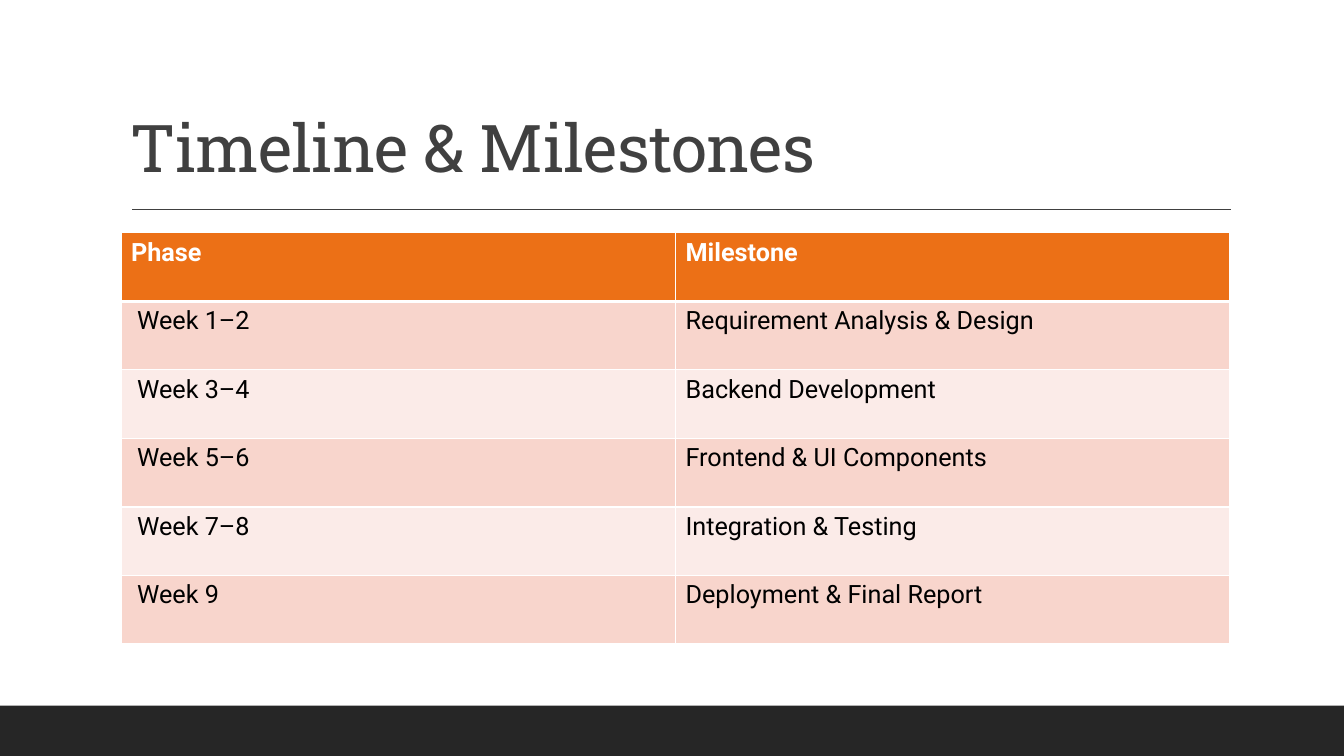
"""Build the Timeline & Milestones slide."""
import dataclasses

import lxml.etree
import pptx
import pptx.dml.color
import pptx.enum.shapes
import pptx.enum.text
import pptx.oxml.ns
import pptx.util

TITLE = "Timeline & Milestones"
HEADER = ("Phase", "Milestone")
MILESTONES = [
    ("Week 1–2", "Requirement Analysis & Design"),
    ("Week 3–4", "Backend Development"),
    ("Week 5–6", "Frontend & UI Components"),
    ("Week 7–8", "Integration & Testing"),
    ("Week 9", "Deployment & Final Report"),
]


@dataclasses.dataclass(frozen=True)
class Theme:
    title_font: str = "Roboto Slab"
    body_font: str = "Roboto"
    title_size: float = 47
    body_size: float = 18
    rule_width: float = 1
    border_width: float = 1
    header_border_width: float = 3
    dark: str = "404040"
    footer: str = "262626"
    accent: str = "EC7016"
    bands: tuple = ("F8D5CC", "FBEBE8")
    white: str = "FFFFFF"
    black: str = "000000"


THEME = Theme()
WIDTH, HEIGHT = 13.33, 7.5
FOOTER_HEIGHT = HEIGHT / 15
LEFT, CONTENT_WIDTH = 1.2, 11
TITLE_TOP, TITLE_HEIGHT = 0.31, 1.59
RULE_LEFT, RULE_RIGHT, RULE_TOP = 1.31, 12.21, 2.08
TABLE_TOP, ROW_HEIGHT = 2.31, 0.68
CELL_MARGIN, WEEK_MARGIN = 0.1, 0.16

inches = pptx.util.Inches
qn = pptx.oxml.ns.qn


def color(value):
    return pptx.dml.color.RGBColor.from_string(value)


def style_font(font, name, size, value, bold=False):
    font.name = name
    font.size = pptx.util.Pt(size)
    font.color.rgb = color(value)
    font.bold = bold


def add_footer(slide):
    footer = slide.shapes.add_shape(
        pptx.enum.shapes.MSO_SHAPE.RECTANGLE,
        0, inches(HEIGHT - FOOTER_HEIGHT), inches(WIDTH), inches(FOOTER_HEIGHT))
    footer.shadow.inherit = False
    footer.fill.solid()
    footer.fill.fore_color.rgb = color(THEME.footer)
    footer.line.fill.background()


def add_rule(slide):
    rule = slide.shapes.add_connector(
        pptx.enum.shapes.MSO_CONNECTOR.STRAIGHT,
        inches(RULE_LEFT), inches(RULE_TOP), inches(RULE_RIGHT), inches(RULE_TOP))
    rule.line.color.rgb = color(THEME.dark)
    rule.line.width = pptx.util.Pt(THEME.rule_width)
    lxml.etree.SubElement(rule._element.spPr, qn("a:effectLst"))


def add_title(slide):
    title = slide.shapes.add_textbox(
        inches(LEFT), inches(TITLE_TOP), inches(CONTENT_WIDTH), inches(TITLE_HEIGHT))
    frame = title.text_frame
    frame.word_wrap = True
    frame.vertical_anchor = pptx.enum.text.MSO_ANCHOR.BOTTOM
    frame.text = TITLE
    paragraph = frame.paragraphs[0]
    paragraph.line_spacing = 0.9
    run = paragraph.runs[0]
    style_font(run.font, THEME.title_font, THEME.title_size, THEME.dark)
    run.font._element.set("spc", "-50")


def add_border(cell, side, width):
    properties = cell._tc.get_or_add_tcPr()
    line = lxml.etree.SubElement(
        properties, qn(f"a:ln{side}"), w=str(pptx.util.Pt(width)))
    fill = lxml.etree.SubElement(line, qn("a:solidFill"))
    lxml.etree.SubElement(fill, qn("a:srgbClr"), val=THEME.white)


def style_cell(cell, row, column):
    is_header = row == 0
    top = THEME.header_border_width if row == 1 else THEME.border_width
    bottom = THEME.header_border_width if is_header else THEME.border_width
    sides = {"L": THEME.border_width, "R": THEME.border_width, "T": top, "B": bottom}
    for side, width in sides.items():
        add_border(cell, side, width)
    cell.fill.solid()
    cell.fill.fore_color.rgb = color(
        THEME.accent if is_header else THEME.bands[(row - 1) % len(THEME.bands)])
    is_week = column == 0 and not is_header
    cell.margin_left = inches(WEEK_MARGIN if is_week else CELL_MARGIN)
    style_font(cell.text_frame.paragraphs[0].runs[0].font, THEME.body_font,
               THEME.body_size, THEME.white if is_header else THEME.black, is_header)


def add_milestones(slide):
    rows = [HEADER, *MILESTONES]
    table = slide.shapes.add_table(
        len(rows), len(HEADER), inches(LEFT), inches(TABLE_TOP),
        inches(CONTENT_WIDTH), inches(ROW_HEIGHT * len(rows))).table
    for row, texts in enumerate(rows):
        for column, text in enumerate(texts):
            cell = table.cell(row, column)
            cell.text_frame.text = text
            style_cell(cell, row, column)


def main():
    presentation = pptx.Presentation()
    presentation.slide_width = inches(WIDTH)
    presentation.slide_height = inches(HEIGHT)
    slide = presentation.slides.add_slide(presentation.slide_layouts[6])
    add_footer(slide)
    add_rule(slide)
    add_title(slide)
    add_milestones(slide)
    presentation.save("out.pptx")


if __name__ == "__main__":
    main()
